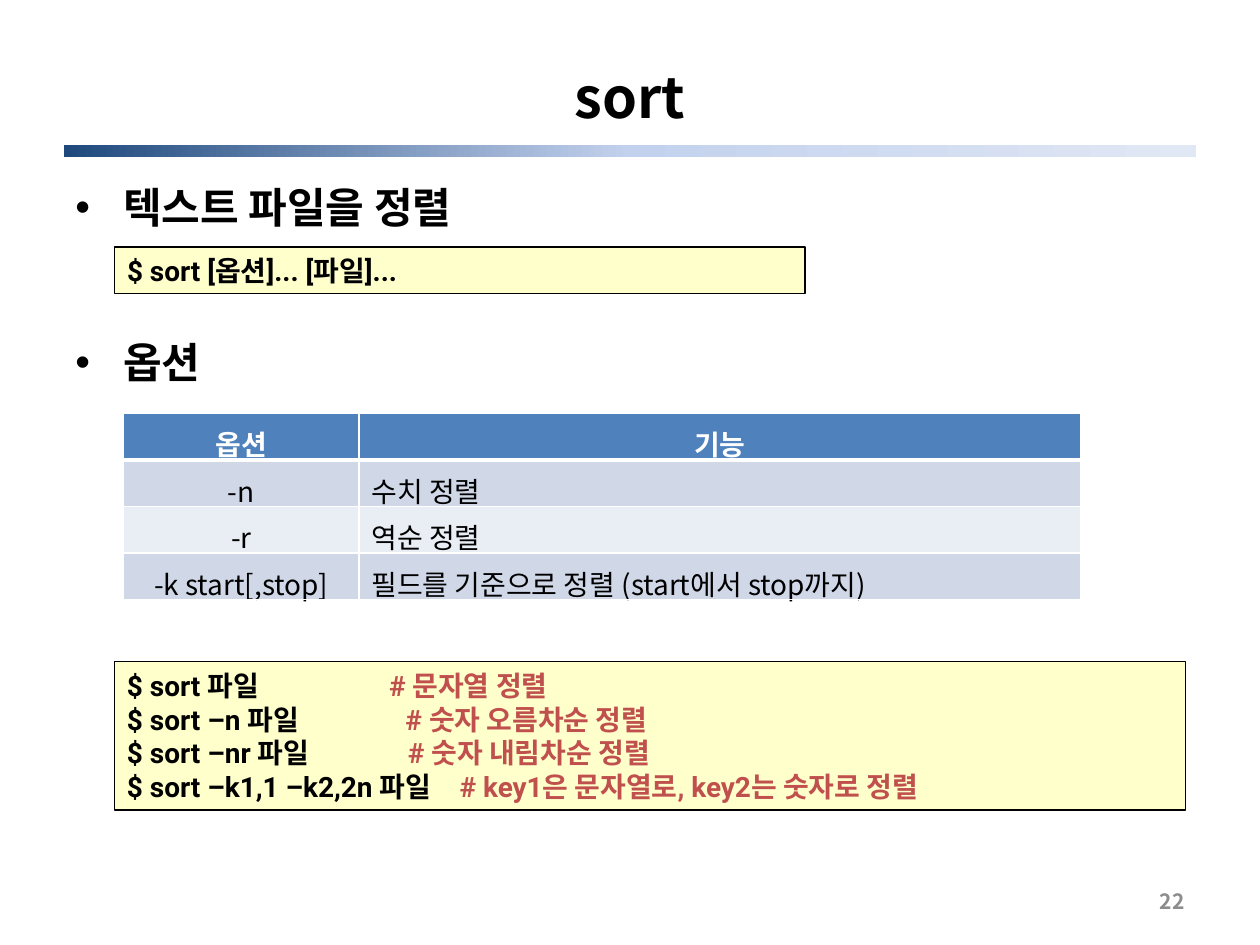
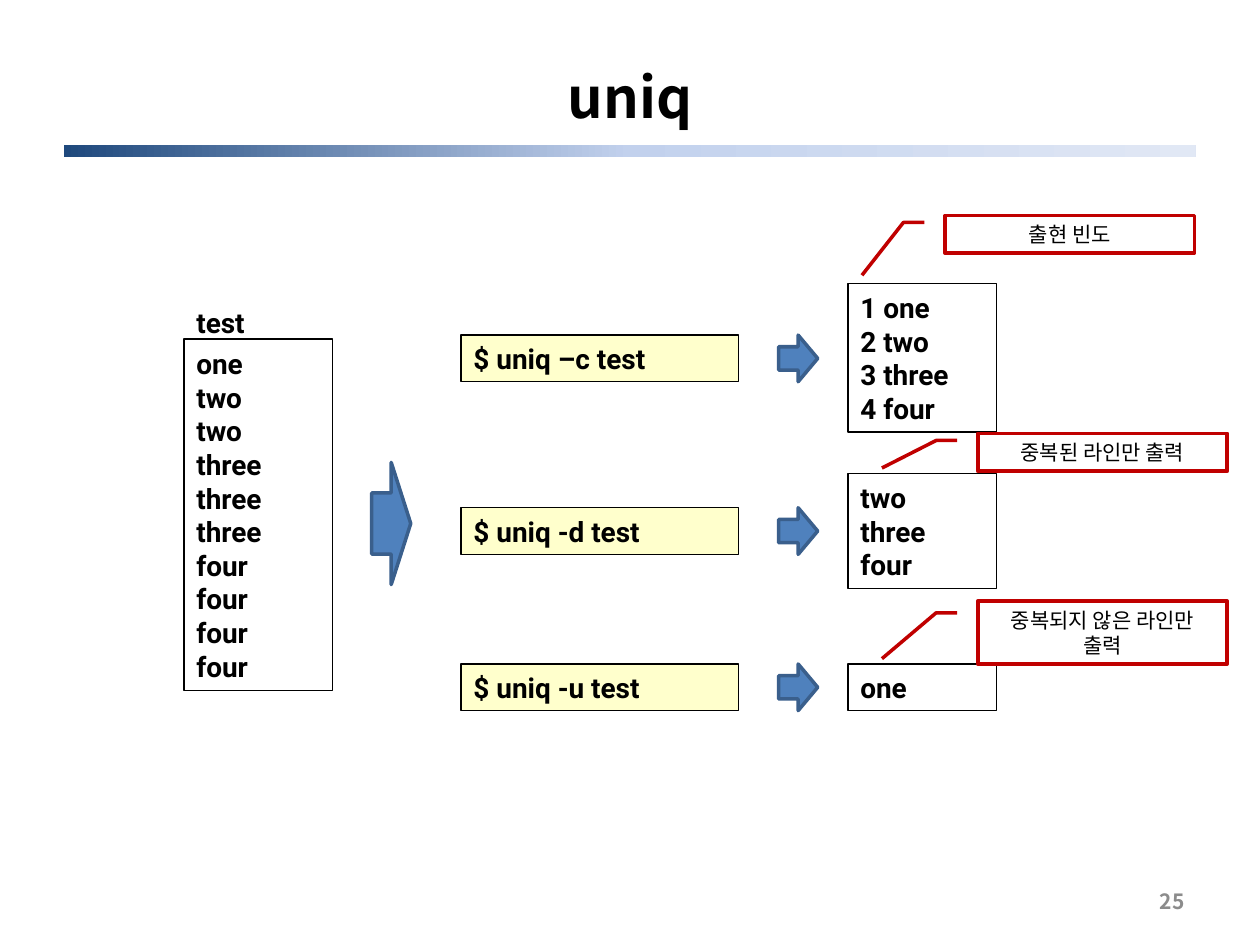
from lxml import etree
from pptx import Presentation
from pptx.dml.color import RGBColor
from pptx.enum import shapes, text
from pptx.oxml import parse_xml
from pptx.oxml.ns import nsdecls, qn
from pptx.util import Inches, Pt

KOREAN, LATIN = "Noto Sans CJK KR", "Roboto"
BLACK, WHITE, GREY = "000000", "FFFFFF", "8C8C8C"
YELLOW, BLUE, DARK_BLUE = "FFFFCC", "4F81BD", "3A5F8C"
RED, COMMENT_RED = "C00000", "C0504D"
ROW_BANDS = ["D0D8E8", "E9EDF4"]
BAND_STOPS = [(0, "1F497D"), (50, "C2D1ED"), (100, "E1E8F5")]
SHAPE = shapes.MSO_SHAPE
LEFT, CENTER, RIGHT = text.PP_ALIGN.LEFT, text.PP_ALIGN.CENTER, text.PP_ALIGN.RIGHT

# Slide "sort"
TOPICS = ["텍스트 파일을 정렬", "옵션"]
SYNTAX = "$ sort [옵션]... [파일]..."
OPTIONS = [
    ("옵션", "기능"),
    ("-n", "수치 정렬"),
    ("-r", "역순 정렬"),
    ("-k start[,stop]", "필드를 기준으로 정렬 (start에서 stop까지)"),
]
OPTION_WIDTHS = [1.87, 5.73]
ROW_HEIGHT = 0.37
# command, comment, tab stop of the comment
EXAMPLES = [
    ("$ sort 파일", "# 문자열 정렬", 2.08),
    ("$ sort –n 파일", "# 숫자 오름차순 정렬", 2.21),
    ("$ sort –nr 파일", "# 숫자 내림차순 정렬", 2.23),
    ("$ sort –k1,1 –k2,2n 파일", "# key1은 문자열로, key2는 숫자로 정렬", 2.64),
]

# Slide "uniq"
FILE_NAME = "test"
FILE_LINES = [word for count, word in enumerate(["one", "two", "three", "four"], 1)
              for _ in range(count)]
COMMAND_HEIGHT = 0.37
# command, its top, output, top and height of the output
RUNS = [
    ("$ uniq –c test", 2.66, ["1 one", "2 two", "3 three", "4 four"], 2.25, 1.18),
    ("$ uniq -d test", 4.03, ["two", "three", "four"], 3.76, 0.91),
    ("$ uniq -u test", 5.27, ["one"], 5.27, 0.37),
]
# note, left, top, height, end of the pointer (y, x)
NOTES = [
    ("출현 빈도", 7.5, 1.71, 0.3, (1.585, -0.333)),
    ("중복된 라인만 출력", 7.76, 3.44, 0.3, (0.916, -0.384)),
    ("중복되지 않은 라인만 출력", 7.76, 4.77, 0.5, (0.916, -0.384)),
]


def rgb(color):
    return RGBColor.from_string(color)


def style_runs(paragraph, size, color, font=KOREAN, bold=True):
    for run in paragraph.runs:
        run.font.size, run.font.bold, run.font.name = Pt(size), bold, font
        run.font.color.rgb = rgb(color)
        etree.SubElement(run._r.get_or_add_rPr(), qn("a:ea"), typeface=KOREAN)


def write(frame, lines, size, color=BLACK, font=KOREAN, bold=True, align=LEFT):
    frame.word_wrap = True
    frame.vertical_anchor = text.MSO_ANCHOR.MIDDLE
    frame.text = "\n".join(lines)
    for paragraph in frame.paragraphs:
        paragraph.alignment = align
        style_runs(paragraph, size, color, font, bold)


def add_text(slide, box, lines, size, **style):
    frame = slide.shapes.add_textbox(*map(Inches, box)).text_frame
    write(frame, lines, size, **style)
    return frame


def add_shape(slide, kind, box, fill, line, width):
    shape = slide.shapes.add_shape(kind, *map(Inches, box))
    shape.shadow.inherit = False
    shape.fill.solid()
    shape.fill.fore_color.rgb = rgb(fill)
    shape.line.color.rgb = rgb(line)
    shape.line.width = Pt(width)
    return shape


def add_code(slide, box, lines, fill=YELLOW):
    frame = add_shape(slide, SHAPE.RECTANGLE, box, fill, BLACK, 0.75).text_frame
    write(frame, lines, 16, font=LATIN)
    return frame


def add_arrow(slide, left, top, height):
    add_shape(slide, SHAPE.RIGHT_ARROW, (left, top, 0.31, height), BLUE, DARK_BLUE, 2)


def add_band(slide):
    band = slide.shapes.add_shape(SHAPE.RECTANGLE, *map(Inches, (0.51, 1.15, 8.98, 0.1)))
    band.shadow.inherit = False
    band.line.fill.background()
    stops = "".join(f'<a:gs pos="{pos * 1000}"><a:srgbClr val="{color}"/></a:gs>'
                    for pos, color in BAND_STOPS)
    band.fill.background()
    no_fill = band._element.spPr.find(qn("a:noFill"))
    no_fill.getparent().replace(no_fill, parse_xml(
        f'<a:gradFill {nsdecls("a")} rotWithShape="1"><a:gsLst>{stops}</a:gsLst>'
        '<a:lin ang="0" scaled="0"/></a:gradFill>'))


def new_slide(deck, title, number):
    slide = deck.slides.add_slide(deck.slide_layouts[6])
    add_band(slide)
    add_text(slide, (0.5, 0.3, 9, 0.93), [title], 32, align=CENTER)
    add_text(slide, (7.17, 6.95, 2.33, 0.4), [number], 12, color=GREY, align=RIGHT)
    return slide


def add_topics(slide):
    frame = add_text(slide, (0.5, 1.39, 9, 5.31), TOPICS, 24)
    frame.vertical_anchor = text.MSO_ANCHOR.TOP
    for paragraph in frame.paragraphs:
        props = paragraph._p.get_or_add_pPr()
        props.set("marL", str(Inches(0.38)))
        props.set("indent", str(-Inches(0.38)))
        etree.SubElement(props, qn("a:buFont"), typeface="Arial")
        etree.SubElement(props, qn("a:buChar"), char="•")
    frame.paragraphs[1].space_before = Pt(60)


def set_borders(cell, top, bottom):
    """Draw white cell borders; top and bottom are widths in points."""
    props = cell._tc.get_or_add_tcPr()
    for place, (side, width) in enumerate(
            [("lnL", 1), ("lnR", 1), ("lnT", top), ("lnB", bottom)]):
        props.insert(place, parse_xml(
            f'<a:{side} {nsdecls("a")} w="{Pt(width)}"><a:solidFill>'
            f'<a:srgbClr val="{WHITE}"/></a:solidFill></a:{side}>'))


def add_options(slide):
    rows, columns = len(OPTIONS), len(OPTION_WIDTHS)
    table = slide.shapes.add_table(
        rows, columns, Inches(0.98), Inches(3.28),
        Inches(sum(OPTION_WIDTHS)), Inches(ROW_HEIGHT * rows)).table
    for column, width in zip(table.columns, OPTION_WIDTHS):
        column.width = Inches(width)
    for r, row in enumerate(OPTIONS):
        table.rows[r].height = Inches(ROW_HEIGHT)
        header = r == 0
        for c, words in enumerate(row):
            cell = table.cell(r, c)
            cell.fill.solid()
            cell.fill.fore_color.rgb = rgb(BLUE if header else ROW_BANDS[(r - 1) % 2])
            set_borders(cell, 3 if r == 1 else 1, 3 if header else 1)
            write(cell.text_frame, [words], 16, WHITE if header else BLACK,
                  bold=header, align=CENTER if header or c == 0 else LEFT)
            cell.vertical_anchor = text.MSO_ANCHOR.MIDDLE
            cell.margin_top, cell.margin_bottom = Inches(0.08), Inches(0.02)


def add_examples(slide):
    frame = add_code(slide, (0.91, 5.25, 8.5, 1.18),
                     [command + "\t" for command, _, _ in EXAMPLES])
    for paragraph, (_, comment, stop) in zip(frame.paragraphs, EXAMPLES):
        tabs = etree.SubElement(paragraph._p.get_or_add_pPr(), qn("a:tabLst"))
        etree.SubElement(tabs, qn("a:tab"), pos=str(Inches(stop)), algn="l")
        run = paragraph.add_run()
        run.text = comment
        run.font.size, run.font.bold, run.font.name = Pt(16), True, LATIN
        run.font.color.rgb = rgb(COMMENT_RED)
        etree.SubElement(run._r.get_or_add_rPr(), qn("a:ea"), typeface=KOREAN)


def add_note(slide, note, left, top, height, pointer_end):
    callout = add_shape(slide, SHAPE.LINE_CALLOUT_2, (left, top, 1.98, height),
                        WHITE, RED, 2)
    for i, value in enumerate((0.1875, -0.0833, 0.1875, -0.1667, *pointer_end)):
        callout.adjustments[i] = value
    write(callout.text_frame, [note], 12, bold=False, align=CENTER)


def build_sort(deck):
    slide = new_slide(deck, "sort", "22")
    add_topics(slide)
    add_code(slide, (0.91, 1.96, 5.48, 0.37), [SYNTAX])
    add_options(slide)
    add_examples(slide)


def build_uniq(deck):
    slide = new_slide(deck, "uniq", "25")
    add_code(slide, (1.46, 2.69, 1.18, 2.79), FILE_LINES, WHITE)
    add_text(slide, (1.46, 2.37, 0.79, 0.37), [FILE_NAME], 16, font=LATIN)
    add_arrow(slide, 2.95, 3.67, 0.97)
    for command, top, output, output_top, output_height in RUNS:
        add_code(slide, (3.66, top, 2.2, COMMAND_HEIGHT), [command])
        add_arrow(slide, 6.18, top, COMMAND_HEIGHT)
        add_code(slide, (6.73, output_top, 1.18, output_height), output, WHITE)
    for note in NOTES:
        add_note(slide, *note)


def main():
    deck = Presentation()
    deck.slide_width, deck.slide_height = Inches(10), Inches(7.5)
    build_sort(deck)
    build_uniq(deck)
    deck.save("out.pptx")


if __name__ == "__main__":
    main()
